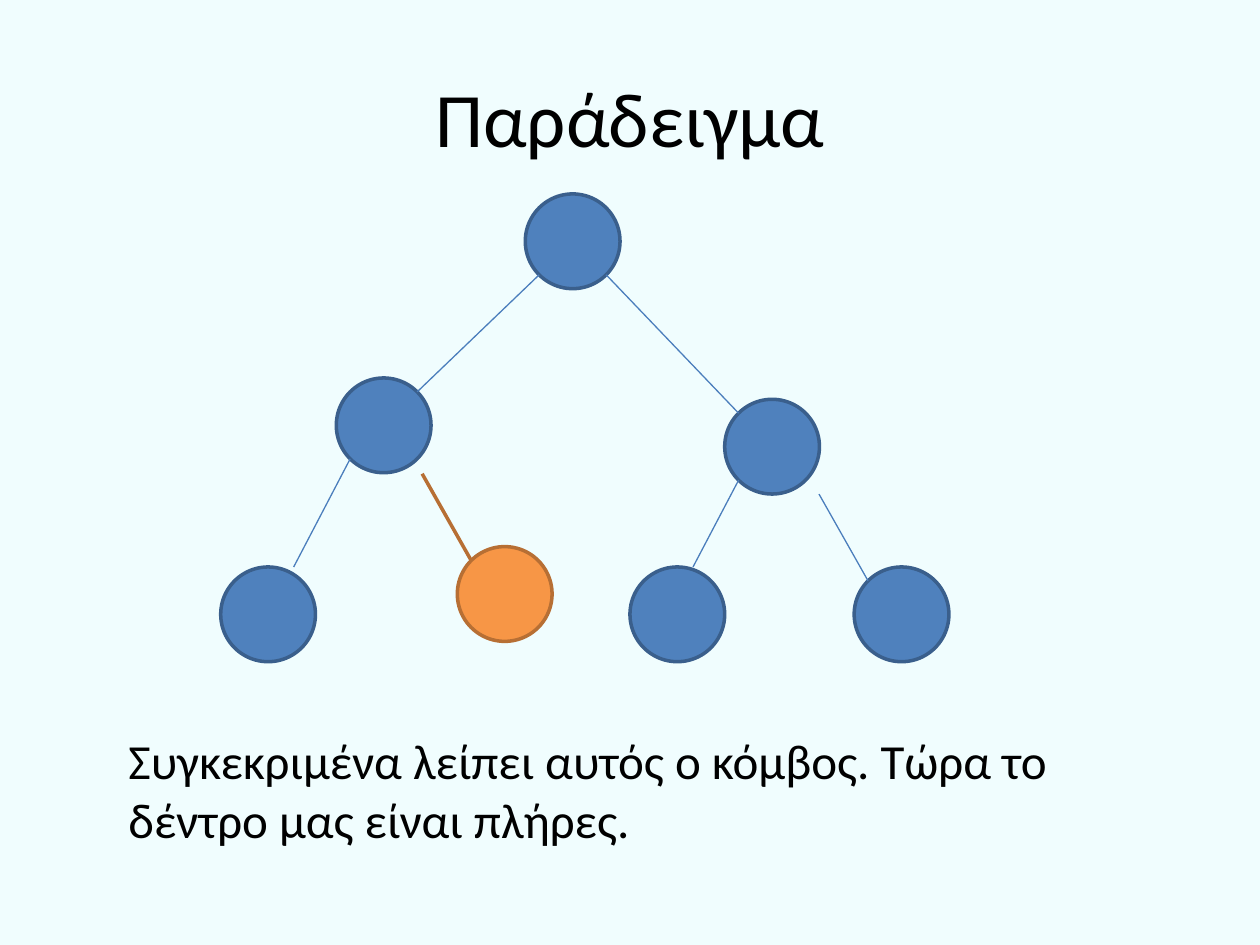
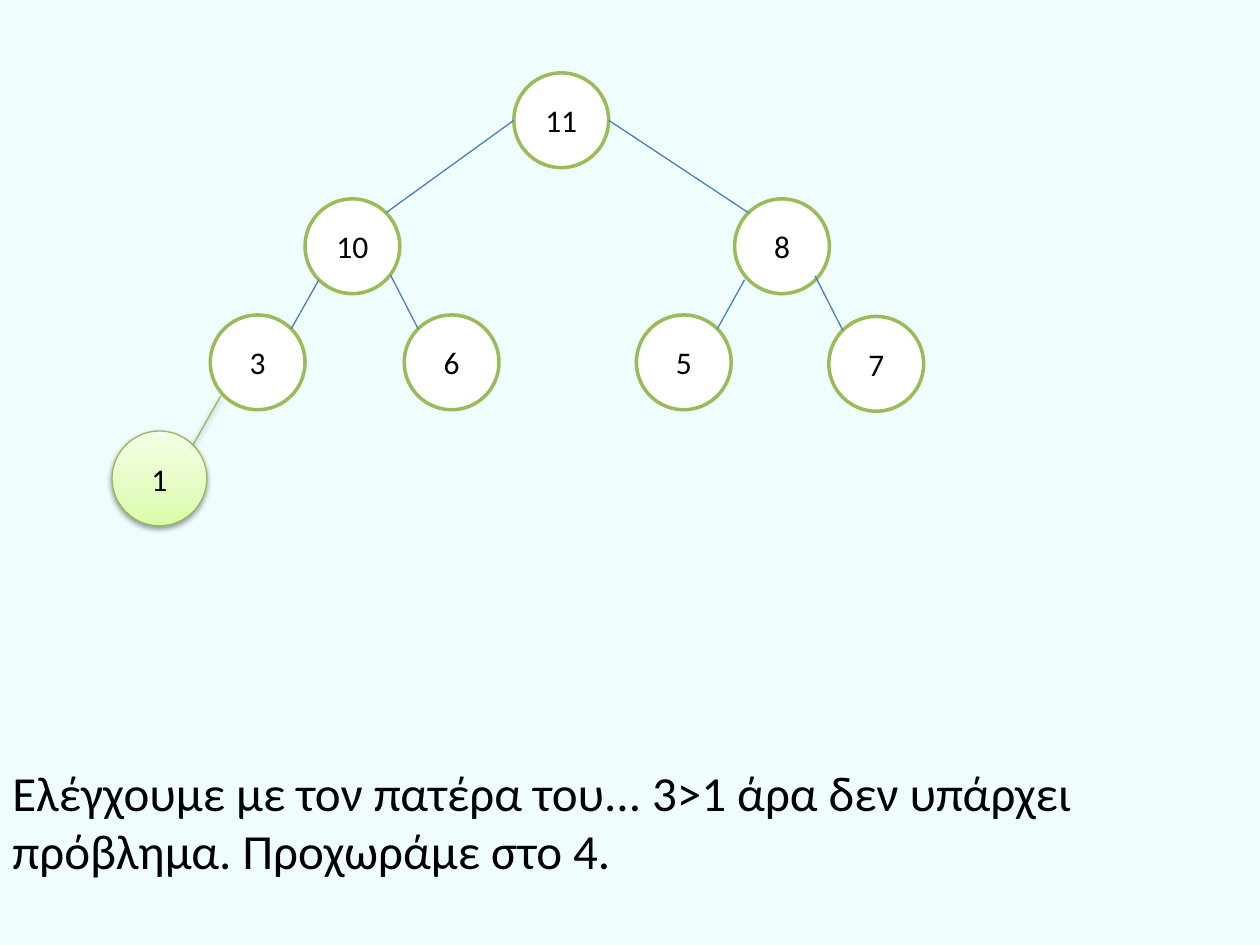
from dataclasses import dataclass
from enum import Enum
from math import sqrt
from typing import NamedTuple, Optional, Union

from lxml.etree import SubElement
from pptx import Presentation
from pptx.dml.color import RGBColor
from pptx.enum.shapes import MSO_CONNECTOR as Connector, MSO_SHAPE as Shape
from pptx.enum.text import MSO_ANCHOR as Anchor, MSO_AUTO_SIZE as AutoSize, PP_ALIGN as Align
from pptx.oxml.ns import qn
from pptx.slide import Slide
from pptx.util import Cm, Pt


@dataclass(frozen=True)
class Theme:
    font: str = "Calibri"
    title_size: int = 44
    caption_size: int = 28
    key_size: int = 18
    background: str = "F0FDFE"
    text: str = "000000"
    edge: str = "4B7EBC"
    blue: str = "4F81BD"
    blue_line: str = "3A5F8C"
    orange: str = "F79646"
    orange_line: str = "B76F34"
    white: str = "FFFFFF"
    green: str = "9BBB59"
    new_green: str = "98B955"
    new_gradient: tuple = ((0, "DAFDA7"), (35, "E4FCC2"), (100, "F5FFE7"))
    thin: float = 0.75
    thick: float = 2
    diameter: float = 1.91


THEME = Theme()


class Style(NamedTuple):
    fill: Union[str, tuple]
    line: str
    width: float = THEME.thick
    shadow: bool = False


class EdgeStyle(NamedTuple):
    line: str = THEME.edge
    width: float = THEME.thin
    shadow: bool = False


class Point(NamedTuple):
    x: float
    y: float


DIAGONAL = sqrt(0.5)


class Site(Enum):
    W = (-1, 0)
    E = (1, 0)
    NW = (-DIAGONAL, -DIAGONAL)
    NE = (DIAGONAL, -DIAGONAL)
    SW = (-DIAGONAL, DIAGONAL)
    SE = (DIAGONAL, DIAGONAL)


@dataclass(frozen=True)
class Node:
    left: float
    top: float
    style: Style
    key: str = ""

    def at(self, site: Site) -> Point:
        radius = THEME.diameter / 2
        dx, dy = site.value
        return Point(self.left + radius * (1 + dx), self.top + radius * (1 + dy))


@dataclass(frozen=True)
class Edge:
    start: Point
    end: Point
    style: EdgeStyle = EdgeStyle()


@dataclass(frozen=True)
class Caption:
    text: str
    left: float
    top: float
    width: float
    height: float = 2.64


@dataclass(frozen=True)
class TreeSlide:
    nodes: list[Node]
    edges: list[Edge]
    caption: Caption
    title: Optional[str] = None


FULL = Style(THEME.blue, THEME.blue_line)
MISSING = Style(THEME.orange, THEME.orange_line)
KEYED = Style(THEME.white, THEME.green)
INSERTED = Style(THEME.new_gradient, THEME.new_green, THEME.thin, True)


def colour(value: str) -> RGBColor:
    return RGBColor.from_string(value)


def format_text(frame, size: int) -> None:
    for paragraph in frame.paragraphs:
        for run in paragraph.runs:
            run.font.name = THEME.font
            run.font.size = Pt(size)
            run.font.color.rgb = colour(THEME.text)


def add_colour(parent, value: str):
    return SubElement(parent, qn("a:srgbClr"), val=value)


def fill_gradient(fill, properties, stops: tuple) -> None:
    fill.gradient()
    fill.gradient_angle = 90
    stop_list = properties.find(f"{qn('a:gradFill')}/{qn('a:gsLst')}")
    for default_stop in list(stop_list):
        stop_list.remove(default_stop)
    for percent, value in stops:
        add_colour(SubElement(stop_list, qn("a:gs"), pos=str(percent * 1000)), value)


def add_shadow(effects) -> None:
    shadow = SubElement(effects, qn("a:outerShdw"), blurRad="40000", dist="20000",
                        dir="5400000", rotWithShape="0")
    SubElement(add_colour(shadow, "000000"), qn("a:alpha"), val="38000")


def draw_node(slide: Slide, node: Node) -> None:
    size = Cm(THEME.diameter)
    circle = slide.shapes.add_shape(Shape.OVAL, Cm(node.left), Cm(node.top), size, size)
    circle.shadow.inherit = False
    properties = circle.element.spPr
    if isinstance(node.style.fill, tuple):
        fill_gradient(circle.fill, properties, node.style.fill)
    else:
        circle.fill.solid()
        circle.fill.fore_color.rgb = colour(node.style.fill)
    circle.line.color.rgb = colour(node.style.line)
    circle.line.width = Pt(node.style.width)
    if node.style.shadow:
        add_shadow(properties.find(qn("a:effectLst")))
    if node.key:
        frame = circle.text_frame
        frame.text = node.key
        frame.vertical_anchor = Anchor.MIDDLE
        frame.paragraphs[0].alignment = Align.CENTER
        format_text(frame, THEME.key_size)


def draw_edge(slide: Slide, edge: Edge) -> None:
    ends = [Cm(length) for length in (*edge.start, *edge.end)]
    branch = slide.shapes.add_connector(Connector.STRAIGHT, *ends)
    branch.line.color.rgb = colour(edge.style.line)
    branch.line.width = Pt(edge.style.width)
    effects = SubElement(branch.element.spPr, qn("a:effectLst"))
    if edge.style.shadow:
        add_shadow(effects)


def draw_caption(slide: Slide, caption: Caption) -> None:
    box = slide.shapes.add_textbox(Cm(caption.left), Cm(caption.top),
                                   Cm(caption.width), Cm(caption.height))
    frame = box.text_frame
    frame.word_wrap = True
    frame.auto_size = AutoSize.SHAPE_TO_FIT_TEXT
    frame.text = caption.text
    format_text(frame, THEME.caption_size)


def draw_title(slide: Slide, text: str) -> None:
    title = slide.shapes.title
    title.left, title.top, title.width, title.height = Cm(1.27), Cm(0.76), Cm(22.86), Cm(3.18)
    title.text_frame.text = text
    title.text_frame.vertical_anchor = Anchor.MIDDLE
    title.text_frame.paragraphs[0].alignment = Align.CENTER
    format_text(title.text_frame, THEME.title_size)


def draw_tree_slide(deck, content: TreeSlide) -> None:
    layout = "Title Only" if content.title else "Blank"
    slide = deck.slides.add_slide(deck.slide_layouts.get_by_name(layout))
    if content.title:
        draw_title(slide, content.title)
    for node in content.nodes:
        draw_node(slide, node)
    for edge in content.edges:
        draw_edge(slide, edge)
    draw_caption(slide, content.caption)


def complete_tree() -> TreeSlide:
    root = Node(10.59, 3.91, FULL)
    left, right = Node(6.78, 7.62, FULL), Node(14.61, 8.05, FULL)
    leaves = [Node(x, 11.43, FULL) for x in (4.45, 12.7, 17.22)]
    missing = Node(9.22, 11.02, MISSING)
    edges = [
        Edge(root.at(Site.SE), right.at(Site.NW)),
        Edge(Point(16.51, 9.96), leaves[2].at(Site.NW)),
        Edge(right.at(Site.SW), Point(13.97, 11.43)),
        Edge(root.at(Site.SW), left.at(Site.NE)),
        Edge(left.at(Site.SW), Point(5.92, 11.43)),
        Edge(Point(8.51, 9.55), missing.at(Site.NW),
             EdgeStyle(THEME.orange_line, THEME.thick)),
    ]
    caption = Caption("Συγκεκριμένα λείπει αυτός ο κόμβος. Τώρα το δέντρο μας είναι πλήρες.",
                      2.34, 14.61, 21.59)
    return TreeSlide([root, left, right, *leaves, missing], edges, caption, "Παράδειγμα")


def heap_insertion() -> TreeSlide:
    eleven = Node(10.36, 1.47, KEYED, "11")
    ten, eight = Node(6.15, 4.01, KEYED, "10"), Node(14.81, 4.01, KEYED, "8")
    three, six, five = (Node(x, 6.35, KEYED, key)
                        for x, key in ((4.24, "3"), (8.15, "6"), (12.83, "5")))
    seven = Node(16.71, 6.38, KEYED, "7")
    one = Node(2.26, 8.69, INSERTED, "1")
    edges = [
        Edge(eleven.at(Site.W), ten.at(Site.NE)),
        Edge(eleven.at(Site.E), eight.at(Site.NW)),
        Edge(ten.at(Site.SW), three.at(Site.NE)),
        Edge(Point(7.87, 5.54), six.at(Site.NW)),
        Edge(Point(15.01, 5.64), five.at(Site.NE)),
        Edge(Point(16.43, 5.56), seven.at(Site.NW)),
        Edge(Point(4.45, 7.98), one.at(Site.NE),
             EdgeStyle(THEME.new_green, THEME.thin, True)),
    ]
    caption = Caption("Ελέγχουμε με τον πατέρα του... 3>1 άρα δεν υπάρχει πρόβλημα. "
                      "Προχωράμε στο 4.", 0, 15.24, 25.4)
    return TreeSlide([eleven, ten, eight, three, six, five, seven, one], edges, caption)


def main() -> None:
    deck = Presentation()
    deck.slide_width, deck.slide_height = Cm(25.4), Cm(19.05)
    backdrop = deck.slide_master.background.fill
    backdrop.solid()
    backdrop.fore_color.rgb = colour(THEME.background)
    for content in (complete_tree(), heap_insertion()):
        draw_tree_slide(deck, content)
    deck.save("out.pptx")


main()
